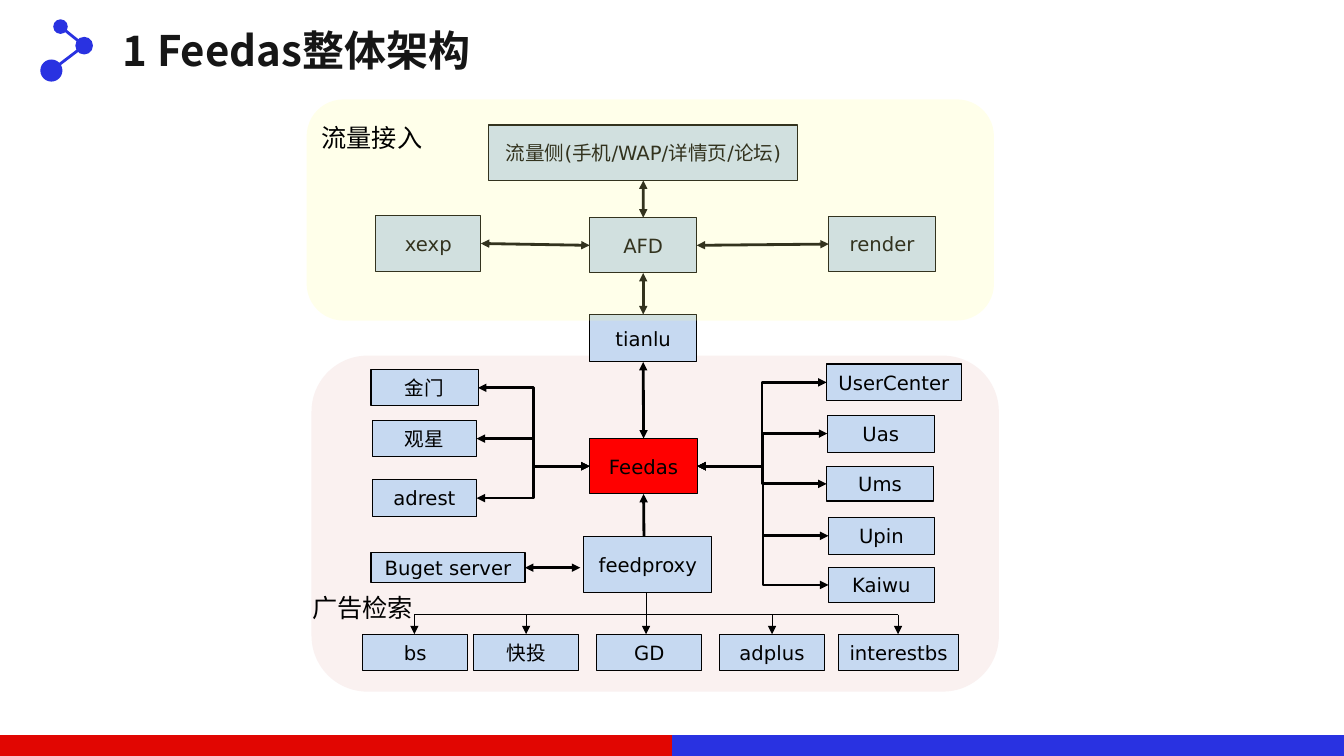
from dataclasses import dataclass

from lxml.etree import SubElement
from pptx import Presentation
from pptx.dml.color import RGBColor
from pptx.enum.shapes import MSO_CONNECTOR as Conn, MSO_SHAPE as Shape
from pptx.enum.text import MSO_ANCHOR as Anchor, PP_ALIGN as Align
from pptx.oxml.ns import qn
from pptx.util import Pt


@dataclass(frozen=True)
class Theme:
    blue: str = "2932E1"
    red: str = "E10602"
    ink: str = "161616"
    black: str = "000000"
    box: str = "C6D9F1"
    core: str = "FF0000"
    access: str = "FFFF99"
    search: str = "E6B9B8"
    title_font: str = "Noto Sans CJK SC"
    box_font: str = "DejaVu Sans"
    label_font: str = "Calibri"
    title_size: int = 30
    label_size: int = 18
    box_size: int = 14
    thick: float = 2
    thin: float = 0.75


T = Theme()
TOP, LEFT, BOTTOM, RIGHT = range(4)  # connection sites of a rectangle

# name: left, top, width, height
MODULES = {
    "流量侧(手机/WAP/详情页/论坛)": (349, 89.3, 221, 39.6),
    "xexp": (268.5, 154.2, 75, 39.5),
    "AFD": (421.2, 155.5, 76.5, 39.5),
    "render": (592, 154.6, 76.3, 39.5),
    "tianlu": (421.2, 224.6, 76.5, 34),
    "Feedas": (421.2, 313.2, 77, 39.6),
    "feedproxy": (417, 383.5, 91.5, 39.8),
    "Buget server": (265, 394.7, 110, 21.7),
    "金门": (265, 264, 76.5, 26),
    "观星": (265.8, 300.3, 74.7, 26),
    "adrest": (265.8, 342.5, 74.7, 26.5),
    "UserCenter": (590.5, 260, 96, 26.4),
    "Uas": (591, 296.5, 76.3, 26.5),
    "Ums": (590.5, 333.4, 76.3, 24.5),
    "Upin": (591.8, 369.4, 75.6, 26.6),
    "Kaiwu": (591.8, 405.3, 75.6, 25),
}
# name: left, width, x of its arrow
SOURCES = {
    "bs": (259.2, 75, 296),
    "快投": (338.5, 75, 375.8),
    "GD": (426.3, 75, 461.5),
    "adplus": (514, 75, 551.5),
    "interestbs": (599, 85.8, 641.5),
}
SOURCE_TOP, SOURCE_H, BUS_Y = 453, 26, 439


def rgb(color):
    return RGBColor.from_string(color)


def style(p, font, size, color, bold=False):
    f = p.font
    f.size, f.bold, f.name = Pt(size), bold, font
    f.color.rgb = rgb(color)
    SubElement(f._rPr, qn("a:ea"), typeface=font)


def area(s, kind, bounds, color, alpha=None):
    sp = s.shapes.add_shape(kind, *map(Pt, bounds))
    sp.shadow.inherit = False
    sp.fill.solid()
    sp.fill.fore_color.rgb = rgb(color)
    sp.line.fill.background()
    if alpha:
        clr = sp._element.spPr.find(qn("a:solidFill"))[0]
        SubElement(clr, qn("a:alpha"), val=str(alpha * 1000))
    return sp


def box(s, name, bounds, color=T.box):
    sp = area(s, Shape.RECTANGLE, bounds, color)
    sp.line.color.rgb = rgb(T.black)
    sp.line.width = Pt(T.thin)
    tf = sp.text_frame
    tf.word_wrap, tf.vertical_anchor = True, Anchor.MIDDLE
    p = tf.paragraphs[0]
    p.text, p.alignment = name, Align.CENTER
    style(p, T.box_font, T.box_size, T.black)
    return sp


def label(s, text, bounds, font, size, color, bold=False, wrap=False):
    tf = s.shapes.add_textbox(*map(Pt, bounds)).text_frame
    tf.word_wrap = wrap
    p = tf.paragraphs[0]
    p.text = text
    style(p, font, size, color, bold)


def line(s, start, end, width=T.thick, color=T.black, ends=(), kind=Conn.STRAIGHT):
    c = s.shapes.add_connector(kind, *map(Pt, (*start, *end)))
    c.line.color.rgb = rgb(color)
    c.line.width = Pt(width)
    for tag in ends:
        SubElement(c.line._get_or_add_ln(), qn(f"a:{tag}"), type="triangle")
    SubElement(c._element.spPr, qn("a:effectLst"))
    return c


def link(s, a, site_a, b, site_b, kind=Conn.STRAIGHT):
    c = line(s, (0, 0), (0, 0), ends=("headEnd", "tailEnd"), kind=kind)
    c.begin_connect(a, site_a)
    c.end_connect(b, site_b)


def node_icon(s):
    nodes = [(36.7, 50.4, 7.9), (60.1, 32.6, 6.3), (43.2, 19, 5.2)]
    for a, b in zip(nodes, nodes[1:]):
        line(s, a[:2], b[:2], color=T.blue)
    for x, y, r in nodes:
        area(s, Shape.OVAL, (x - r, y - r, 2 * r, 2 * r), T.blue)


def main():
    prs = Presentation()
    prs.slide_width, prs.slide_height = Pt(960), Pt(540)
    s = prs.slides.add_slide(prs.slide_layouts[6])

    # Footer bars and title
    area(s, Shape.RECTANGLE, (320, 525, 640, 15), T.blue)
    area(s, Shape.RECTANGLE, (0, 525, 480, 15), T.red)
    label(s, "1 Feedas整体架构", (80.6, 13.7, 447, 44),
          T.title_font, T.title_size, T.ink, bold=True, wrap=True)
    node_icon(s)

    # Modules on the ad search panel
    area(s, Shape.ROUNDED_RECTANGLE, (222.5, 254, 491, 240), T.search, 20)
    m = {name: box(s, name, bounds, T.core if name == "Feedas" else T.box)
         for name, bounds in MODULES.items()}

    # Two-way links
    spine = [m[n] for n in ("流量侧(手机/WAP/详情页/论坛)", "AFD", "tianlu", "Feedas")]
    for upper, lower in zip(spine, spine[1:]):
        link(s, lower, TOP, upper, BOTTOM)
    link(s, m["AFD"], LEFT, m["xexp"], RIGHT)
    link(s, m["AFD"], RIGHT, m["render"], LEFT)
    for name in ("金门", "观星", "adrest"):
        link(s, m["Feedas"], LEFT, m[name], RIGHT, Conn.ELBOW)
    for name in ("UserCenter", "Uas", "Ums", "Upin", "Kaiwu"):
        link(s, m["Feedas"], RIGHT, m[name], LEFT, Conn.ELBOW)
    line(s, (375, 405.5), (414.5, 405.5), ends=("headEnd", "tailEnd"))
    line(s, (460, 383.5), (459.7, 352.8), ends=("tailEnd",))

    # Traffic panel tints the modules under it
    area(s, Shape.ROUNDED_RECTANGLE, (219, 71, 491, 158), T.access, 20)
    for text, x, y in (("流量接入", 222.5, 83.5), ("广告检索", 216, 419.8)):
        label(s, text, (x, y, 87, 29), T.label_font, T.label_size, T.black)

    # Ad sources fed from one bus
    arrows = [x for _, _, x in SOURCES.values()]
    line(s, (arrows[0], BUS_Y), (arrows[-1], BUS_Y), T.thin)
    for name, (left, width, x) in SOURCES.items():
        box(s, name, (left, SOURCE_TOP, width, SOURCE_H))
        start = 423.5 if name == "GD" else BUS_Y
        line(s, (x, start), (x, SOURCE_TOP), T.thin, ends=("tailEnd",))

    prs.save("out.pptx")


if __name__ == "__main__":
    main()
